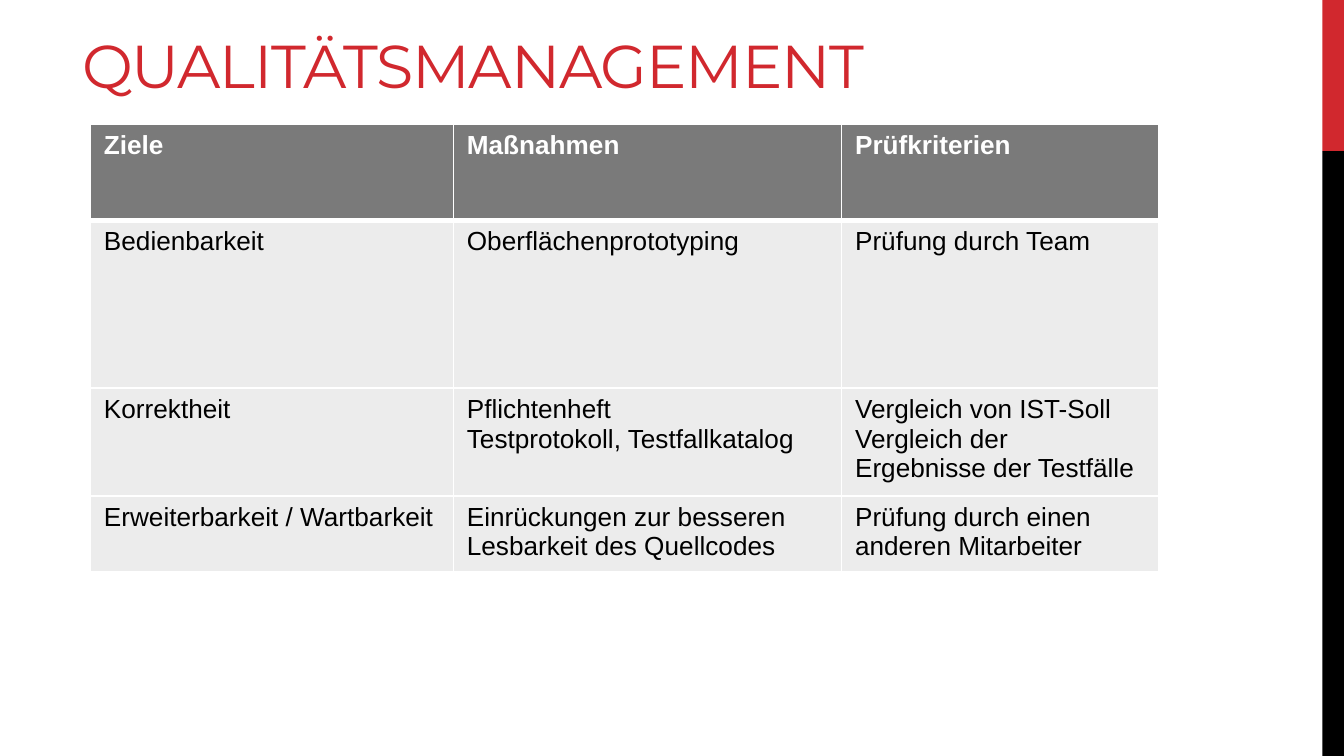
from dataclasses import dataclass

from lxml.etree import SubElement
from pptx import Presentation
from pptx.dml.color import RGBColor as RGB
from pptx.enum.shapes import MSO_SHAPE as SHAPE
from pptx.enum.text import MSO_ANCHOR as ANCHOR
from pptx.oxml.ns import qn
from pptx.util import Pt


@dataclass(frozen=True)
class Theme:
    red: str = "D1282E"
    black: str = "000000"
    white: str = "FFFFFF"
    header: str = "7A7A7A"
    body: str = "ECECEC"
    title_font: str = "Montserrat"
    table_font: str = "Arial"
    title_size: float = 32.4
    table_size: float = 14


T = Theme()
WIDTH, HEIGHT = 720, 405
ROWS = [
    ("Ziele", "Maßnahmen", "Prüfkriterien"),
    ("Bedienbarkeit", "Oberflächenprototyping", "Prüfung durch Team"),
    ("Korrektheit", "Pflichtenheft\nTestprotokoll, Testfallkatalog",
     "Vergleich von IST-Soll\nVergleich der Ergebnisse der Testfälle"),
    ("Erweiterbarkeit / Wartbarkeit",
     "Einrückungen zur besseren Lesbarkeit des Quellcodes",
     "Prüfung durch einen anderen Mitarbeiter"),
]
COL_WIDTHS = (194.4, 208, 170)
ROW_HEIGHTS = (51.5, 90, 54, 38.5)


def write(tf, text, *, font, size, color, bold=False, spacing=None):
    tf.word_wrap = True
    for i, line in enumerate(text.split("\n")):
        p = tf.add_paragraph() if i else tf.paragraphs[0]
        r = p.add_run()
        r.text = line
        r.font.name = font
        r.font.size = Pt(size)
        r.font.bold = bold
        r.font.color.rgb = RGB.from_string(color)
        if spacing is not None:
            r.font._element.set("spc", str(round(spacing * 100)))


def add_bar(s, x, y, w, h, color):
    sp = s.shapes.add_shape(SHAPE.RECTANGLE, Pt(x), Pt(y), Pt(w), Pt(h))
    sp.shadow.inherit = False
    sp.fill.solid()
    sp.fill.fore_color.rgb = RGB.from_string(color)
    sp.line.fill.background()


def add_title(s, text):
    sp = s.shapes.add_textbox(Pt(37), Pt(0), Pt(482), Pt(57.6))
    sp.text_frame.vertical_anchor = ANCHOR.BOTTOM
    write(sp.text_frame, text, font=T.title_font, size=T.title_size,
          color=T.red, spacing=-0.6)


def style_cell(cell, fill, borders):
    tcPr = cell._tc.get_or_add_tcPr()
    for side, width in borders.items():
        ln = SubElement(tcPr, qn(f"a:ln{side}"), w=str(Pt(width)))
        solid = SubElement(ln, qn("a:solidFill"))
        SubElement(solid, qn("a:srgbClr"), val=T.white)
    cell.fill.solid()
    cell.fill.fore_color.rgb = RGB.from_string(fill)


def add_goal_table(s, x, y):
    table = s.shapes.add_table(
        len(ROWS), len(COL_WIDTHS), Pt(x), Pt(y),
        Pt(sum(COL_WIDTHS)), Pt(sum(ROW_HEIGHTS))).table
    for col, width in zip(table.columns, COL_WIDTHS):
        col.width = Pt(width)
    for i, (row, height, texts) in enumerate(zip(table.rows, ROW_HEIGHTS, ROWS)):
        row.height = Pt(height)
        is_header = i == 0
        borders = {"L": 1, "R": 1, "T": 3 if i == 1 else 1, "B": 3 if is_header else 1}
        for cell, text in zip(row.cells, texts):
            style_cell(cell, T.header if is_header else T.body, borders)
            write(cell.text_frame, text, font=T.table_font, size=T.table_size,
                  color=T.white if is_header else T.black, bold=is_header)


def main():
    prs = Presentation()
    prs.slide_width, prs.slide_height = Pt(WIDTH), Pt(HEIGHT)
    s = prs.slides.add_slide(prs.slide_layouts[6])
    bar_x, split = 708.5, 81
    add_bar(s, bar_x, 0, WIDTH - bar_x, split, T.red)
    add_bar(s, bar_x, split, WIDTH - bar_x, HEIGHT - split, T.black)
    add_title(s, "QUALITÄTSMANAGEMENT")
    add_goal_table(s, 48.5, 66.5)
    prs.save("out.pptx")


if __name__ == "__main__":
    main()
